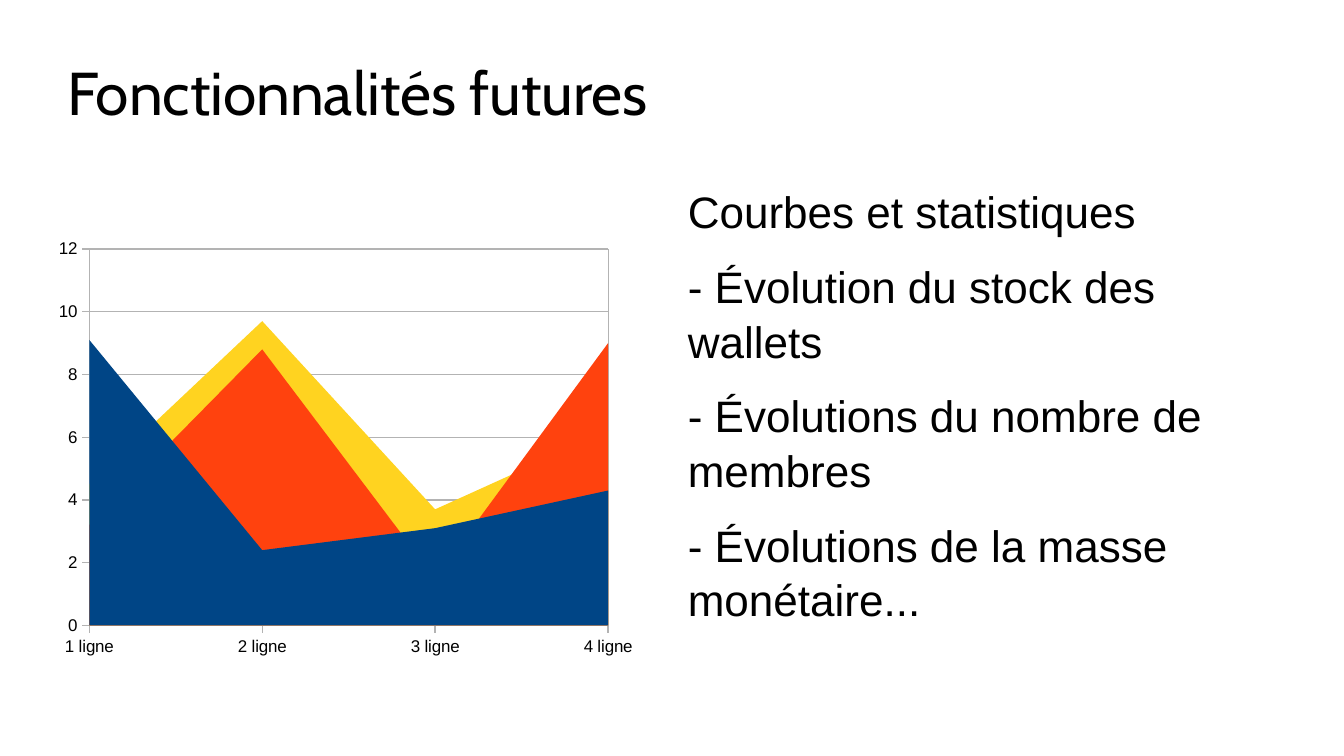
from lxml.etree import SubElement
from pptx import Presentation
from pptx.chart.data import CategoryChartData
from pptx.dml.color import RGBColor
from pptx.enum.chart import XL_CHART_TYPE
from pptx.enum.text import MSO_ANCHOR
from pptx.oxml import parse_xml
from pptx.oxml.ns import nsdecls, qn
from pptx.util import Inches, Pt

BLACK, GREY = "000000", "B3B3B3"
TOPICS = [
    "Courbes et statistiques",
    "- Évolution du stock des wallets",
    "- Évolutions du nombre de membres",
    "- Évolutions de la masse monétaire...",
]
LINES = ["1 ligne", "2 ligne", "3 ligne", "4 ligne"]
SERIES = [
    ("Series 1", (9.1, 2.4, 3.1, 4.3), "004586"),
    ("Series 2", (3.2, 8.8, 1.5, 9), "FF420E"),
    ("Series 3", (4.5, 9.7, 3.7, 6.2), "FFD320"),
]
INNER = {"x": 0.07, "y": 0.04, "w": 0.87, "h": 0.87}


def paint(color, code):
    """Set a colour from a hex string."""
    color.rgb = RGBColor.from_string(code)


def style(font, name, size):
    """Give a font its name, size and black colour."""
    font.name, font.size = name, Pt(size)
    paint(font.color, BLACK)


def add_text(slide, box, texts, name, size, anchor=MSO_ANCHOR.TOP, after=0, pitch=1.0):
    """Add a text box without margins, one paragraph per text."""
    frame = slide.shapes.add_textbox(*map(Inches, box)).text_frame
    frame.word_wrap = True
    frame.vertical_anchor = anchor
    frame.margin_left = frame.margin_right = Inches(0)
    frame.margin_top = frame.margin_bottom = Inches(0)
    frame.text = "\n".join(texts)
    for para in frame.paragraphs:
        para.space_after = Pt(after)
        para.line_spacing = pitch
        style(para.runs[0].font, name, size)


def hairline(line):
    """Make a line thin and grey."""
    paint(line.color, GREY)
    line.width = Pt(0)


def frame_plot(area):
    """Place the inner plot area and outline it in grey."""
    for old in area.findall(qn("c:layout")):
        area.remove(old)
    layout = parse_xml(f"<c:layout {nsdecls('c')}><c:manualLayout/></c:layout>")
    rules = [("layoutTarget", "inner"), ("xMode", "edge"), ("yMode", "edge")]
    for tag, val in rules + list(INNER.items()):
        SubElement(layout[0], qn(f"c:{tag}")).set("val", str(val))
    area.insert(0, layout)
    area.append(parse_xml(
        f"<c:spPr {nsdecls('c', 'a')}><a:noFill/><a:ln w='0'><a:solidFill>"
        f"<a:srgbClr val='{GREY}'/></a:solidFill></a:ln></c:spPr>"
    ))


def add_areas(slide, box):
    """Add the area chart with its axes and colours."""
    data = CategoryChartData()
    data.categories = LINES
    for name, vals, _ in SERIES:
        data.add_series(name, vals)
    chart = slide.shapes.add_chart(XL_CHART_TYPE.AREA, *map(Inches, box), data).chart
    chart.has_title = chart.has_legend = False
    style(chart.font, "Arial", 10)
    chart.plots[0].vary_by_categories = False
    for item, (_, _, code) in zip(chart.plots[0].series, SERIES):
        item.format.fill.solid()
        paint(item.format.fill.fore_color, code)
        item.format.line.fill.background()
    for axis in (chart.category_axis, chart.value_axis):
        style(axis.tick_labels.font, "Arial", 10)
        hairline(axis.format.line)
    axis = chart.value_axis
    axis.minimum_scale, axis.maximum_scale, axis.major_unit = 0, 12, 2
    axis.has_major_gridlines = True
    hairline(axis.major_gridlines.format.line)
    frame_plot(chart._chartSpace.chart.plotArea)


def main():
    """Build the slide and save it."""
    deck = Presentation()
    deck.slide_width, deck.slide_height = Inches(11.02), Inches(6.2)
    slide = deck.slides.add_slide(deck.slide_layouts[6])
    add_text(slide, (0.55, 0.24, 7.68, 1.02), ["Fonctionnalités futures"],
             "Cabin", 35.7, MSO_ANCHOR.MIDDLE)
    add_text(slide, (5.64, 1.5, 4.84, 3.6), TOPICS, "Arial", 26, after=11.5, pitch=1.04)
    add_areas(slide, (0.39, 1.9, 4.89, 3.55))
    deck.save("out.pptx")


if __name__ == "__main__":
    main()
